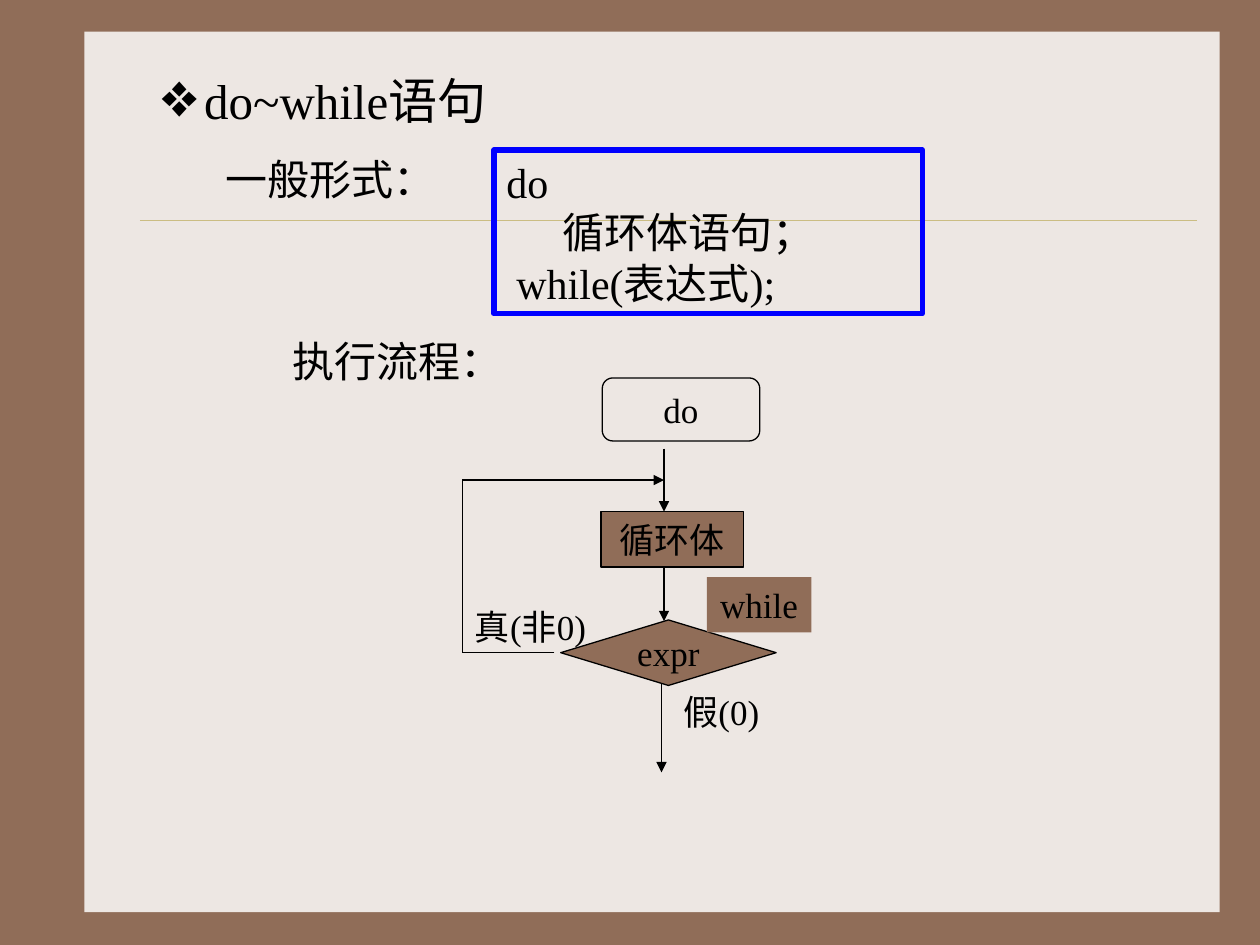
from pptx import Presentation
from pptx.dml.color import RGBColor
from pptx.enum.shapes import MSO_CONNECTOR as Link, MSO_SHAPE as Form
from pptx.enum.text import MSO_ANCHOR as Anchor, MSO_AUTO_SIZE as Fit, PP_ALIGN as Align
from pptx.oxml.ns import qn
from pptx.util import Inches, Pt
from lxml.etree import SubElement

BROWN = RGBColor(0x90, 0x6D, 0x58)
CREAM = RGBColor(0xED, 0xE7, 0xE3)
SAND = RGBColor(0xCB, 0xBD, 0x83)
BLUE = RGBColor(0x00, 0x00, 0xFF)
BLACK = RGBColor(0x00, 0x00, 0x00)
LATIN = "Times New Roman"
HAN = "Noto Sans CJK SC"


class Deck:
    """Hold the style and the current slide, and draw each kind of element."""

    def __init__(self):
        self.show = Presentation()
        self.show.slide_width, self.show.slide_height = Inches(10), Inches(7.5)
        self.slide = self.show.slides.add_slide(self.show.slide_layouts[1])
        back = self.slide.background.fill
        back.solid()
        back.fore_color.rgb = BROWN

    def place(self, item, box):
        item.left, item.top, item.width, item.height = map(Inches, box)

    def add_runs(self, para, runs, size):
        for text in runs:
            run = para.add_run()
            run.text = text
            run.font.size = Pt(size)
            run.font.name = LATIN
            run.font.color.rgb = BLACK
            SubElement(run.font._element, qn("a:ea"), typeface=HAN)

    def indent(self, para, left, first=0):
        props = para._p.get_or_add_pPr()
        props.set("marL", str(Inches(left)))
        props.set("indent", str(Inches(first)))
        return props

    def title(self, box, runs):
        item = self.slide.shapes.title
        self.place(item, box)
        frame = item.text_frame
        frame.auto_size = Fit.NONE
        frame.vertical_anchor = Anchor.MIDDLE
        para = frame.paragraphs[0]
        para.alignment = Align.LEFT
        props = self.indent(para, 0.35, -0.35)
        tint = SubElement(props, qn("a:buClr"))
        SubElement(tint, qn("a:srgbClr"), val=str(BLACK))
        SubElement(props, qn("a:buFont"), typeface=LATIN)
        SubElement(props, qn("a:buChar"), char="❖")
        self.add_runs(para, runs, 28)

    def lines(self, frame, rows):
        frame.auto_size = Fit.NONE
        frame.word_wrap = True
        for num, (left, gap, runs) in enumerate(rows):
            para = frame.add_paragraph() if num else frame.paragraphs[0]
            para.alignment = Align.LEFT
            para.line_spacing = Pt(28.8)
            para.space_before = Pt(gap)
            SubElement(self.indent(para, left), qn("a:buNone"))
            self.add_runs(para, runs, 24)

    def body(self, box, rows):
        item = self.slide.placeholders[1]
        self.place(item, box)
        item.text_frame.vertical_anchor = Anchor.TOP
        self.lines(item.text_frame, rows)

    def shape(self, form, box, fill=None, line=None, width=0.75):
        item = self.slide.shapes.add_shape(form, *map(Inches, box))
        item.shadow.inherit = False
        if fill is None:
            item.fill.background()
        else:
            item.fill.solid()
            item.fill.fore_color.rgb = fill
        if line is None:
            item.line.fill.background()
        else:
            item.line.color.rgb = line
            item.line.width = Pt(width)
        return item

    def label(self, item, runs):
        frame = item.text_frame
        frame.word_wrap = False
        frame.vertical_anchor = Anchor.MIDDLE
        para = frame.paragraphs[0]
        para.alignment = Align.CENTER
        self.add_runs(para, runs, 20)

    def node(self, form, box, runs, fill=None, line=BLACK):
        self.label(self.shape(form, box, fill, line), runs)

    def note(self, box, runs):
        self.label(self.slide.shapes.add_textbox(*map(Inches, box)), runs)

    def code(self, box, rows):
        item = self.shape(Form.RECTANGLE, box, line=BLUE, width=3)
        item.text_frame.vertical_anchor = Anchor.MIDDLE
        self.lines(item.text_frame, rows)

    def line(self, start, end, head=False, color=BLACK, width=0.75):
        item = self.slide.shapes.add_connector(
            Link.STRAIGHT, *map(Inches, start + end))
        item.line.color.rgb = color
        item.line.width = Pt(width)
        if head:
            SubElement(item.line._get_or_add_ln(), qn("a:tailEnd"), type="triangle")
        SubElement(item._element.spPr, qn("a:effectLst"))
        return item

    def frame(self, box, start, end):
        panel = self.shape(Form.RECTANGLE, box, CREAM)
        rule = self.line(start, end, color=SAND, width=0.25)
        for spot, item in enumerate((panel, rule), 2):
            self.slide.shapes._spTree.insert(spot, item._element)

    def save(self):
        self.show.save("out.pptx")


def main():
    deck = Deck()
    deck.frame((0.67, 0.25, 9.01, 6.99), (1.11, 1.75), (9.5, 1.75))
    deck.title((1.17, 0.42, 8.33, 0.75), ["do~while", "语句"])
    deck.body((1.17, 1.17, 8.33, 5.25),
              [(0.52, 0, ["一般形式："]), (1.05, 75, ["执行流程："])])
    deck.code((3.92, 1.19, 3.4, 1.3),
              [(0, 0, ["do"]), (0.45, 0, ["循环体语句；"]),
               (0.08, 0, ["while(", "表达式", ");"])])

    deck.node(Form.FLOWCHART_ALTERNATE_PROCESS, (4.78, 3, 1.25, 0.5), ["do"])
    deck.node(Form.RECTANGLE, (4.77, 4.06, 1.13, 0.44), ["循环体"], BROWN)
    deck.node(Form.FLOWCHART_DECISION, (4.45, 4.92, 1.71, 0.52), ["expr"], BROWN)
    deck.note((5.25, 5.43, 0.95, 0.44), ["假", "(0)"])
    deck.note((3.57, 4.75, 1.28, 0.44), ["真", "(", "非", "0)"])

    for x, top, low in ((5.27, 3.56, 4.06), (5.27, 4.51, 4.93), (5.25, 5.43, 6.13)):
        deck.line((x, top), (x, low), head=True)
    loop = [(4.4, 5.18), (3.67, 5.18), (3.67, 3.81), (5.27, 3.81)]
    for start, end in zip(loop, loop[1:]):
        deck.line(start, end, head=end == loop[-1])
    deck.node(Form.RECTANGLE, (5.61, 4.58, 0.83, 0.44), ["while"], BROWN, None)
    deck.save()


if __name__ == "__main__":
    main()
